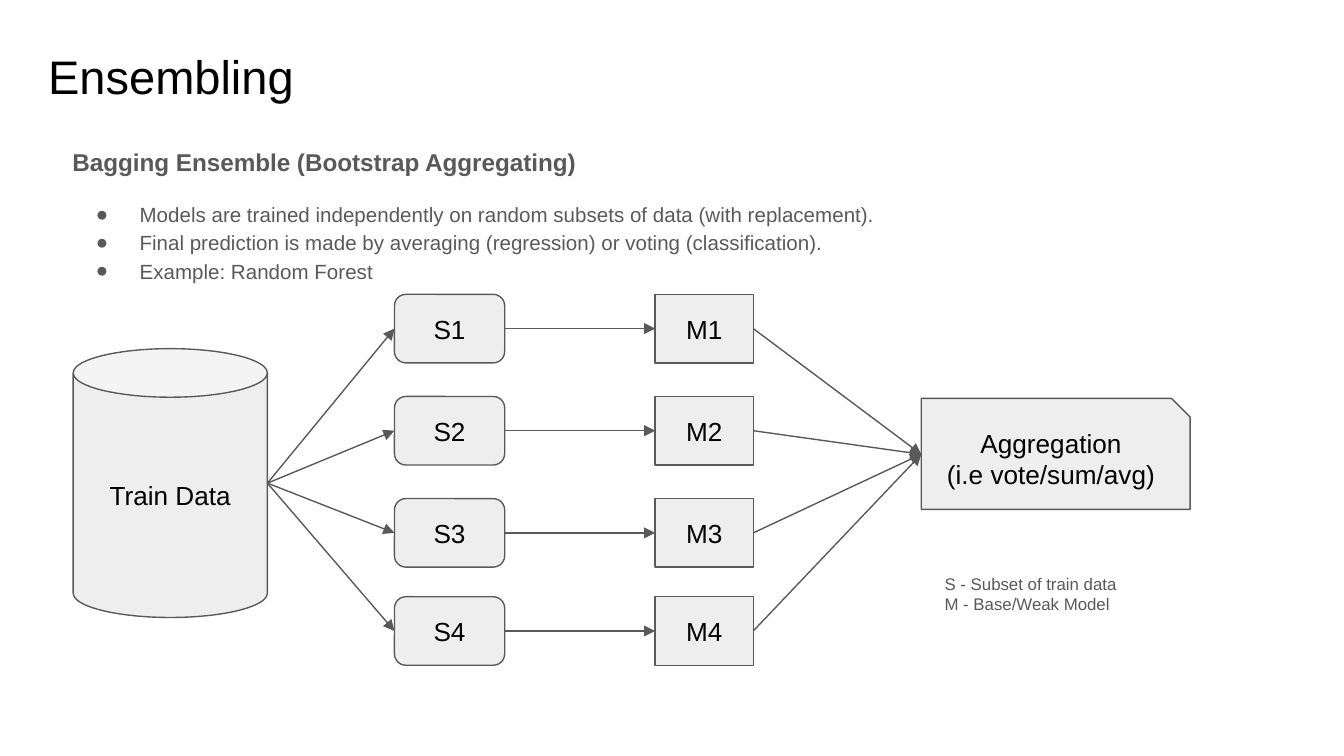
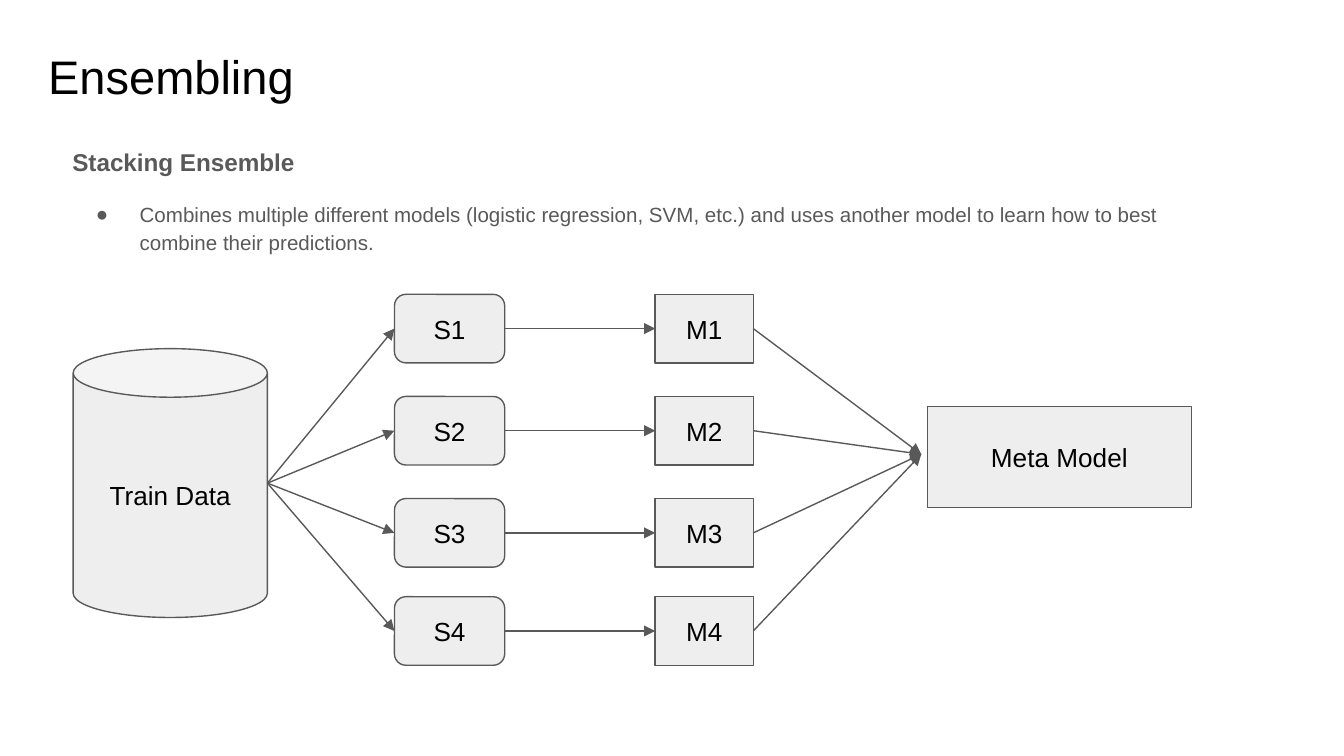
"""Builds two slides on bagging and stacking ensembles."""
from dataclasses import dataclass
from typing import Any, Optional

from lxml import etree
from pptx import Presentation
from pptx import util as u
from pptx.dml.color import RGBColor
from pptx.enum import shapes, text
from pptx.oxml import ns

PX = 4572
KIND = shapes.MSO_SHAPE


@dataclass(frozen=True)
class Theme:
    """Colours, font and type sizes."""
    font: str = "Arial"
    ink: str = "000000"
    grey: str = "595959"
    fill: str = "EEEEEE"
    line: float = 0.75
    title: float = 25.2
    head: float = 13
    body: float = 11
    label: float = 14
    note: float = 9


@dataclass(frozen=True)
class Box:
    """A rectangle in px."""
    x: int
    y: int
    w: int
    h: int

    @property
    def west(self) -> tuple[int, int]:
        """Return the middle of the left edge."""
        return self.x, self.y + self.h // 2

    @property
    def east(self) -> tuple[int, int]:
        """Return the middle of the right edge."""
        return self.x + self.w, self.y + self.h // 2


@dataclass(frozen=True)
class Node:
    """A labelled shape of the diagram."""
    kind: Any
    box: Box
    label: str


@dataclass(frozen=True)
class Page:
    """The content of one slide."""
    head: str
    points: tuple[str, ...]
    goal: Node
    note: Optional[str] = None


THEME = Theme()
TITLE = Box(52, 51, 1864, 126)
BODY = Box(88, 192, 1790, 886)
NOTE = Box(1386, 834, 426, 196)
MERGE = (1371, 676)
ROWS = (438, 590, 742, 888)
DATA = Node(KIND.CAN, Box(109, 519, 289, 400), "Train Data")
SETS = [Node(KIND.ROUNDED_RECTANGLE, Box(587, y, 164, 102), f"S{i}")
        for i, y in enumerate(ROWS, 1)]
MODELS = [Node(KIND.RECTANGLE, Box(975, y, 146, 102), f"M{i}")
          for i, y in enumerate(ROWS, 1)]

PAGES = (
    Page(
        "Bagging Ensemble (Bootstrap Aggregating)",
        ("Models are trained independently on random subsets of data (with replacement).",
         "Final prediction is made by averaging (regression) or voting (classification).",
         "Example: Random Forest"),
        Node(KIND.SNIP_1_RECTANGLE, Box(1371, 593, 400, 165),
             "Aggregation\n(i.e vote/sum/avg)"),
        "S - Subset of train data\nM - Base/Weak Model",
    ),
    Page(
        "Stacking Ensemble",
        ("Combines multiple different models (logistic regression, SVM, etc.) and uses "
         "another model to learn how to best combine their predictions.",),
        Node(KIND.RECTANGLE, Box(1380, 605, 393, 150), "Meta Model"),
    ),
)


def place(box: Box) -> tuple[int, int, int, int]:
    """Return a box in EMU."""
    return box.x * PX, box.y * PX, box.w * PX, box.h * PX


def style(para: Any, size: float, tint: str, bold: bool = False) -> None:
    """Format all runs of a paragraph."""
    for run in para.runs:
        run.font.name = THEME.font
        run.font.size = u.Pt(size)
        run.font.bold = bold
        run.font.color.rgb = RGBColor.from_string(tint)


def inset(frame: Any) -> None:
    """Set wrapping and equal margins."""
    frame.word_wrap = True
    frame.margin_left = frame.margin_right = 20 * PX
    frame.margin_top = frame.margin_bottom = 20 * PX


def write(slide: Any, box: Box, words: str, size: float, tint: str) -> Any:
    """Add a text box and return its frame."""
    frame = slide.shapes.add_textbox(*place(box)).text_frame
    inset(frame)
    frame.text = words
    for para in frame.paragraphs:
        style(para, size, tint)
    return frame


def bullet(para: Any) -> None:
    """Give a paragraph a round bullet with a hanging indent."""
    props = para._p.get_or_add_pPr()
    props.set("marL", str(100 * PX))
    props.set("indent", str(-65 * PX))
    tint = etree.SubElement(props, ns.qn("a:buClr"))
    etree.SubElement(tint, ns.qn("a:srgbClr"), val=THEME.grey)
    etree.SubElement(props, ns.qn("a:buFont"), typeface=THEME.font)
    etree.SubElement(props, ns.qn("a:buChar"), char="●")


def outline(line: Any) -> None:
    """Set the shared line style."""
    line.color.rgb = RGBColor.from_string(THEME.grey)
    line.width = u.Pt(THEME.line)


def draw(slide: Any, node: Node) -> None:
    """Draw a labelled node."""
    shape = slide.shapes.add_shape(node.kind, *place(node.box))
    shape.shadow.inherit = False
    shape.fill.solid()
    shape.fill.fore_color.rgb = RGBColor.from_string(THEME.fill)
    outline(shape.line)
    frame = shape.text_frame
    inset(frame)
    frame.vertical_anchor = text.MSO_ANCHOR.MIDDLE
    frame.text = node.label
    for para in frame.paragraphs:
        para.alignment = text.PP_ALIGN.CENTER
        style(para, THEME.label, THEME.ink)


def arrow(slide: Any, start: tuple[int, int], end: tuple[int, int]) -> None:
    """Draw an arrow between two points."""
    ends = [n * PX for n in (*start, *end)]
    link = slide.shapes.add_connector(shapes.MSO_CONNECTOR.STRAIGHT, *ends)
    outline(link.line)
    etree.SubElement(link.line._get_or_add_ln(), ns.qn("a:tailEnd"), type="triangle")
    etree.SubElement(link._element.spPr, ns.qn("a:effectLst"))


def prose(slide: Any, page: Page) -> None:
    """Write the heading and its bullet points."""
    words = "\n".join((page.head, *page.points))
    frame = write(slide, BODY, words, THEME.body, THEME.grey)
    frame.margin_right = 40 * PX
    head, *points = frame.paragraphs
    for para in frame.paragraphs:
        para.line_spacing = 1.15
        para.space_before = u.Pt(0)
    head.space_before = u.Pt(14)
    points[0].space_before = u.Pt(12)
    style(head, THEME.head, THEME.grey, True)
    for para in points:
        bullet(para)


def flow(slide: Any, goal: Node) -> None:
    """Draw the flow from data through models to the goal."""
    for node in (DATA, *SETS, *MODELS, goal):
        draw(slide, node)
    for part, model in zip(SETS, MODELS):
        arrow(slide, DATA.box.east, part.box.west)
        arrow(slide, part.box.east, model.box.west)
        arrow(slide, model.box.east, MERGE)


def main() -> None:
    """Build and save the deck."""
    deck = Presentation()
    deck.slide_width, deck.slide_height = 2000 * PX, 1125 * PX
    for page in PAGES:
        slide = deck.slides.add_slide(deck.slide_layouts[6])
        write(slide, TITLE, "Ensembling", THEME.title, THEME.ink)
        prose(slide, page)
        flow(slide, page.goal)
        if page.note:
            write(slide, NOTE, page.note, THEME.note, THEME.grey)
    deck.save("out.pptx")


if __name__ == "__main__":
    main()
